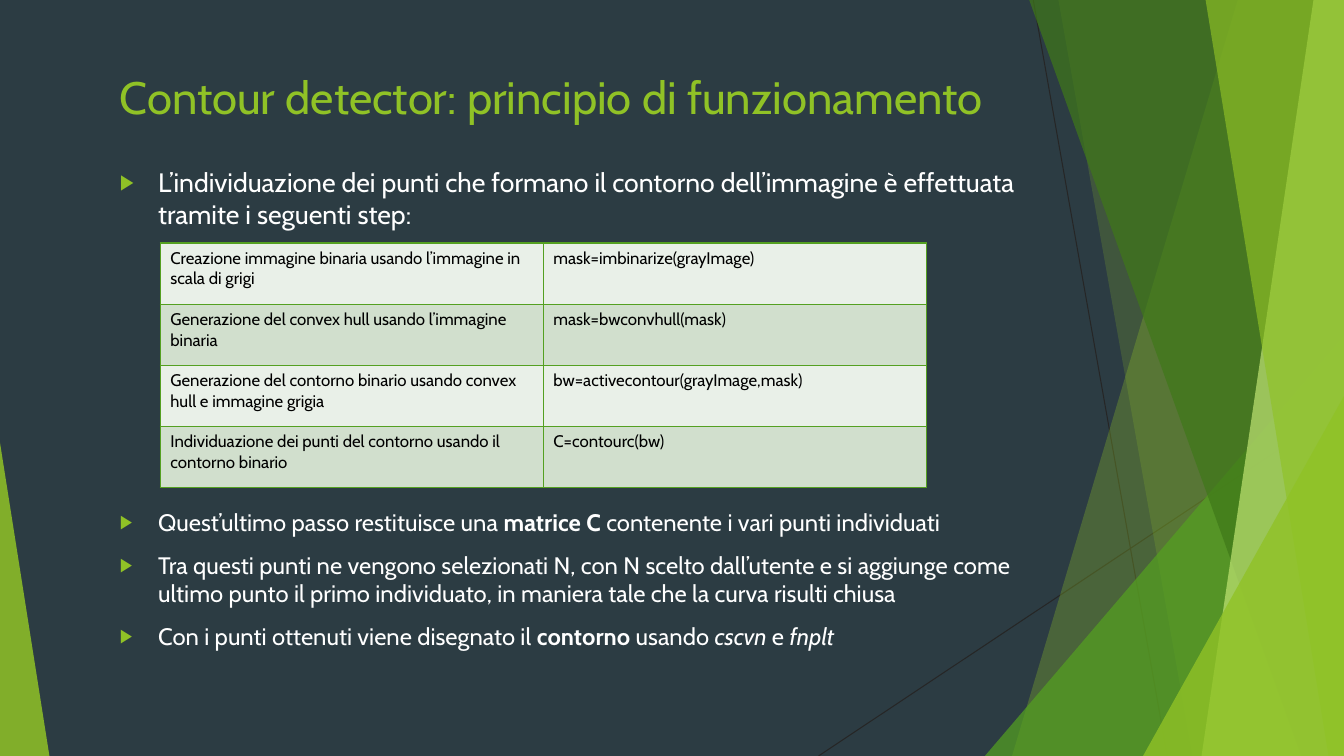
from dataclasses import dataclass

from lxml.etree import SubElement
from pptx import Presentation
from pptx.dml.color import RGBColor
from pptx.enum.shapes import MSO_CONNECTOR, MSO_SHAPE
from pptx.enum.text import MSO_ANCHOR
from pptx.oxml import parse_xml
from pptx.oxml.ns import nsdecls, qn
from pptx.util import Inches, Pt

FONT = "Cabin"
COLORS = {
    "background": "2C3C43", "lime": "90C226", "green": "54A021",
    "forest": "3F7819", "pale": "C0E474", "hairline": "262626",
    "white": "FFFFFF", "black": "000000",
    "row_light": "E9F0E8", "row_dark": "D1DFCD",
}

TITLE = "Contour detector: principio di funzionamento"
INTRO = [[("L’individuazione dei punti che formano il contorno dell’immagine "
           "è effettuata tramite i seguenti step:", "")]]
STEPS = [
    ("Creazione immagine binaria usando l’immagine in scala di grigi",
     "mask=imbinarize(grayImage)"),
    ("Generazione del convex hull usando l’immagine binaria",
     "mask=bwconvhull(mask)"),
    ("Generazione del contorno binario usando convex hull e immagine grigia",
     "bw=activecontour(grayImage,mask)"),
    ("Individuazione dei punti del contorno usando il contorno binario",
     "C=contourc(bw)"),
]
RESULTS = [
    [("Quest’ultimo passo restituisce una ", ""), ("matrice C", "b"),
     (" contenente i vari punti individuati", "")],
    [("Tra questi punti ne vengono selezionati N, con N scelto dall’utente "
      "e si aggiunge come ultimo punto il primo individuato, in maniera tale "
      "che la curva risulti chiusa", "")],
    [("Con i punti ottenuti viene disegnato il ", ""), ("contorno", "b"),
     (" usando ", ""), ("cscvn ", "i"), ("e ", ""), ("fnplt", "i")],
]

HAIRLINES = [(76.88, 0, 86.85, 100), (100, 53.73, 60.9, 100)]
SHARDS = [
    ("band", 92.1, 75.3, "lime", 30),
    ("band", 78.75, 88.73, "lime", 20),
    ("corner", 73.28, 44.4, "green", 72),
    ("band", 76.58, 96.83, "forest", 70),
    ("band", 97.73, 89.4, "pale", 70),
    ("band", 89.7, 98.85, "lime", 65),
    ("corner", 85.05, 52.4, "lime", 80),
]


@dataclass
class Box:
    """A region whose inner places are given in percent of its size."""
    x: int
    y: int
    w: int
    h: int

    def point(self, px, py):
        """Return the place at px, py percent of the box."""
        return (round(self.x + self.w * px / 100),
                round(self.y + self.h * py / 100))

    def area(self, px, py, pw, ph):
        """Return the box covering the given percentages of this one."""
        return Box(*self.point(px, py), round(self.w * pw / 100),
                   round(self.h * ph / 100))

    def frame(self):
        """Return left, top, width and height."""
        return self.x, self.y, self.w, self.h


def rgb(name):
    """Look up a palette colour."""
    return RGBColor.from_string(COLORS[name])


def paint(shape, color, opacity):
    """Give a shape a flat translucent fill, no line and no shadow."""
    shape.shadow.inherit = False
    shape.line.fill.background()
    shape.fill.solid()
    shape.fill.fore_color.rgb = rgb(color)
    srgb = shape._element.spPr.find(qn("a:solidFill")).find(qn("a:srgbClr"))
    SubElement(srgb, qn("a:alpha")).set("val", str(opacity * 1000))


def add_triangle(s, box, apex, color, opacity):
    """Add a triangle with its apex at the given share of its width."""
    tri = s.shapes.add_shape(MSO_SHAPE.ISOSCELES_TRIANGLE, *box.frame())
    tri.adjustments[0] = apex
    paint(tri, color, opacity)


def add_band(s, box, top, bottom, color, opacity):
    """Add a full-height band from a slanted left edge to the right edge."""
    fb = s.shapes.build_freeform(*box.point(top, 0), scale=1.0)
    fb.add_line_segments([box.point(100, 0), box.point(100, 100),
                          box.point(bottom, 100)], close=True)
    paint(fb.convert_to_shape(), color, opacity)


def add_backdrop(s, box):
    """Draw the hairlines and the overlapping green shards."""
    for x1, y1, x2, y2 in HAIRLINES:
        line = s.shapes.add_connector(
            MSO_CONNECTOR.STRAIGHT, *box.point(x1, y1), *box.point(x2, y2))
        line.line.color.rgb = rgb("hairline")
        line.line.width = Pt(0.75)
        SubElement(line._element.spPr, qn("a:effectLst"))
    for kind, a, b, color, opacity in SHARDS:
        if kind == "band":
            add_band(s, box, a, b, color, opacity)
        else:
            corner = box.area(a, b, 100 - a, 100 - b)
            add_triangle(s, corner, 1, color, opacity)
    add_triangle(s, box.area(0, 58.53, 3.68, 41.47), 0, "lime", 85)


def add_run(p, text, size, color, style=""):
    """Append a run; style may hold b for bold and i for italic."""
    r = p.add_run()
    r.text = text
    r.font.name = FONT
    r.font.size = Pt(size)
    r.font.color.rgb = rgb(color)
    r.font.bold = "b" in style
    r.font.italic = "i" in style


def add_bullet(p):
    """Give a paragraph a hanging arrow bullet."""
    pPr = p._p.get_or_add_pPr()
    pPr.set("marL", str(Inches(0.38)))
    pPr.set("indent", str(-Inches(0.38)))
    clr = SubElement(pPr, qn("a:buClr"))
    SubElement(clr, qn("a:srgbClr")).set("val", COLORS["lime"])
    SubElement(pPr, qn("a:buSzPct")).set("val", "80000")
    SubElement(pPr, qn("a:buFont")).set("typeface", "Arial")
    SubElement(pPr, qn("a:buChar")).set("char", "▶")


def add_text(s, box, paragraphs, size, color, bullets=True):
    """Add a wrapped text box of styled paragraphs."""
    tf = s.shapes.add_textbox(*box.frame()).text_frame
    tf.word_wrap = True
    tf.vertical_anchor = MSO_ANCHOR.TOP
    for i, runs in enumerate(paragraphs):
        p = tf.add_paragraph() if i else tf.paragraphs[0]
        if bullets:
            p.space_before = Pt(10)
            add_bullet(p)
        for text, style in runs:
            add_run(p, text, size, color, style)


def add_borders(cell):
    """Put a thin green border on all four sides of a cell."""
    tcPr = cell._tc.get_or_add_tcPr()
    for i, side in enumerate(("lnL", "lnR", "lnT", "lnB")):
        tcPr.insert(i, parse_xml(
            f'<a:{side} {nsdecls("a")} w="{Pt(1)}"><a:solidFill>'
            f'<a:srgbClr val="{COLORS["green"]}"/></a:solidFill></a:{side}>'))


def add_steps(s, box):
    """Add the table pairing each step with its function call."""
    table = s.shapes.add_table(len(STEPS), 2, *box.frame()).table
    table.first_row = False
    for i, step in enumerate(STEPS):
        for j, text in enumerate(step):
            cell = table.cell(i, j)
            cell.fill.solid()
            cell.fill.fore_color.rgb = rgb("row_dark" if i % 2 else "row_light")
            add_borders(cell)
            add_run(cell.text_frame.paragraphs[0], text, 12, "black")


def main():
    """Build the slide and save it."""
    prs = Presentation()
    prs.slide_width, prs.slide_height = Inches(13.33), Inches(7.5)
    s = prs.slides.add_slide(prs.slide_layouts[6])
    s.background.fill.solid()
    s.background.fill.fore_color.rgb = rgb("background")
    page = Box(0, 0, prs.slide_width, prs.slide_height)
    add_backdrop(s, page)
    add_text(s, page.area(8.18, 8.53, 70.5, 10.8), [[(TITLE, "")]], 32.4,
             "lime", bullets=False)
    add_text(s, page.area(8.18, 21.33, 68.1, 9.87), INTRO, 19, "white")
    add_text(s, page.area(8.18, 66.53, 68.1, 23.87), RESULTS, 17, "white")
    add_steps(s, page.area(11.93, 32.13, 57, 32.4))
    prs.save("out.pptx")


if __name__ == "__main__":
    main()
